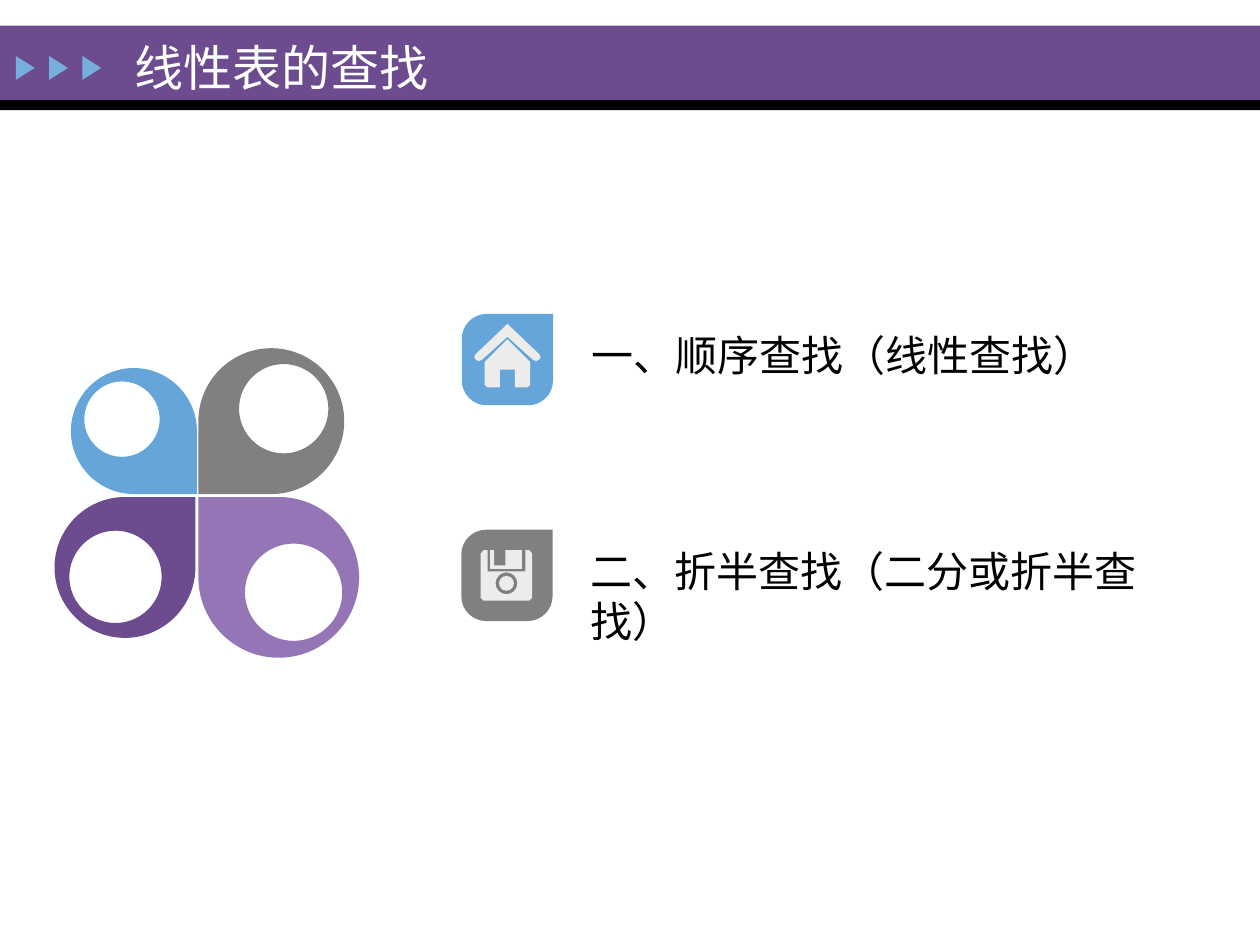
from dataclasses import dataclass
from itertools import islice
from math import cos, radians, sin

from pptx import Presentation
from pptx.dml.color import RGBColor
from pptx.enum.shapes import MSO_SHAPE
from pptx.enum.text import MSO_ANCHOR, MSO_AUTO_SIZE
from pptx.oxml.ns import qn
from pptx.util import Cm, Pt


@dataclass(frozen=True)
class Theme:
    font: str = "Times New Roman"
    title: int = 28
    body: int = 24
    paper: str = "FEFFFF"
    ink: str = "000000"
    purple: str = "6C4C8F"
    lilac: str = "9476B6"
    blue: str = "65A5D9"
    arrow: str = "76AEDD"
    gray: str = "808080"
    icon: str = "ECECEB"


THEME = Theme()


def paint(shape, color):
    shape.shadow.inherit = False
    shape.fill.solid()
    shape.fill.fore_color.rgb = RGBColor.from_string(color)
    shape.line.fill.background()


def block(shapes, kind, left, top, width, height, color):
    shape = shapes.add_shape(kind, Cm(left), Cm(top), Cm(width), Cm(height))
    paint(shape, color)
    return shape


def outline(shapes, left, top, loops, color, flip=(1, 1)):
    """Fill closed loops of steps: one point is a line, three are a curve."""
    pen = None
    for loop in loops:
        first, *rest = [(Cm(left + flip[0] * x), Cm(top + flip[1] * y))
                        for step in loop for x, y in step]
        if pen is None:
            pen = shapes.build_freeform(*first, scale=1.0)
        else:
            pen.move_to(*first)
        pen.add_line_segments(rest, close=True)
    shape = pen.convert_to_shape()
    lines = iter(list(shape.element.iter(qn("a:lnTo"))))
    for loop in loops:
        for step in loop[1:]:
            head, *tail = islice(lines, len(step))
            if tail:
                head.tag = qn("a:cubicBezTo")
            for node in tail:
                head.append(node[0])
                node.getparent().remove(node)
    paint(shape, color)


def arc(x, y, radius, start, count):
    """Quarter turns as curve steps."""
    steps = []
    for i in range(count):
        a, b = radians(start + 90 * i), radians(start + 90 * i + 90)
        parts = ((1, 0.55), (0.55, 1), (0, 1))
        steps.append([(x + radius * (p * cos(a) + q * cos(b)),
                       y + radius * (p * sin(a) + q * sin(b))) for p, q in parts])
    return steps


def ring(x, y, radius):
    return [[(x + radius, y)]] + arc(x, y, radius, 0, 4)


def mirror(half, axis):
    """Complete a loop of straight steps from its left half."""
    points = half + [(2 * axis - x, y) for x, y in reversed(half)]
    return [[point] for point in points]


def label(slide, left, top, width, height, text, size, color, anchor=MSO_ANCHOR.TOP):
    box = slide.shapes.add_textbox(Cm(left), Cm(top), Cm(width), Cm(height))
    frame = box.text_frame
    frame.word_wrap = True
    frame.vertical_anchor = anchor
    if anchor == MSO_ANCHOR.TOP:
        frame.auto_size = MSO_AUTO_SIZE.SHAPE_TO_FIT_TEXT
    para = frame.paragraphs[0]
    para.text = text
    para.font.name = THEME.font
    para.font.size = Pt(size)
    para.font.color.rgb = RGBColor.from_string(color)


def header(slide, left, top, width, text):
    block(slide.shapes, MSO_SHAPE.RECTANGLE, left, top, width, 1.5, THEME.purple)
    block(slide.shapes, MSO_SHAPE.RECTANGLE, left, top + 1.5, width, 0.2, THEME.ink)
    group = slide.shapes.add_group_shape()
    for i in range(3):
        mark = block(group.shapes, MSO_SHAPE.ISOSCELES_TRIANGLE,
                     left + 0.27 + 0.67 * i, top + 0.66, 0.48, 0.38, THEME.arrow)
        mark.rotation = 90
    label(slide, left + 2.47, top - 0.12, 17.1, 1.9, text,
          THEME.title, THEME.paper, MSO_ANCHOR.MIDDLE)


def flower(slide, left, top):
    """Four petals whose sharp corners meet near the given hub."""
    petals = [  # side x, side y, gap, size, hole offset, hole radius, color
        (-1, -1, 0.01, 2.54, 1.51, 0.76, THEME.blue),
        (-1, 1, 0.04, 2.84, 1.61, 0.93, THEME.purple),
        (1, -1, 0.02, 2.94, 1.72, 0.9, THEME.gray),
        (1, 1, 0.02, 3.24, 1.92, 0.98, THEME.lilac),
    ]
    group = slide.shapes.add_group_shape()
    for across, down, gap, size, shift, radius, color in petals:
        mid = size / 2
        leaf = [[(0, 0)], [(mid, 0)]] + arc(mid, mid, mid, -90, 3)
        outline(group.shapes, left + across * gap, top + down * 0.03,
                [leaf, ring(shift, shift, radius)], color, (across, down))


def tile(shapes, left, top, color, side=1.84, bend=0.5):
    """Square with three round corners and a sharp one at top right."""
    far = side - bend
    loop = [[(side, 0)], [(side, far)], *arc(far, far, bend, 0, 1),
            [(bend, side)], *arc(bend, far, bend, 90, 1),
            [(0, bend)], *arc(bend, bend, bend, 180, 1)]
    outline(shapes, left, top, [loop], color)


def home(shapes, left, top):
    tile(shapes, left, top, THEME.blue)
    roof = [(0.92, 0.2), (0.28, 0.81), (0.25, 0.87), (0.28, 0.92),
            (0.34, 0.95), (0.41, 0.92), (0.92, 0.46)]
    walls = [(0.92, 0.51), (0.46, 0.97), (0.46, 1.43), (0.52, 1.48),
             (0.77, 1.48), (0.77, 1.12)]
    for half in (roof, walls):
        outline(shapes, left, top, [mirror(half, 0.92)], THEME.icon)


def disk(shapes, left, top):
    tile(shapes, left, top, THEME.gray)
    plate = [(1.22, 0.41), (0.89, 0.41), (0.89, 0.72), (0.66, 0.72),
             (0.66, 0.41), (0.58, 0.41), (0.58, 0.79), (1.22, 0.79)]
    outline(shapes, left, top, [[[point] for point in plate]], THEME.icon)
    case = [(0.53, 0.84), (0.53, 0.41), (0.45, 0.41), (0.39, 0.48),
            (0.39, 1.37), (0.45, 1.43)]
    outline(shapes, left, top, [mirror(case, 0.91), ring(0.91, 1.08, 0.22)],
            THEME.icon)
    block(shapes, MSO_SHAPE.OVAL, left + 0.76, top + 0.93, 0.3, 0.3, THEME.icon)


def topic(slide, left, top, icon, text, width):
    icon(slide.shapes.add_group_shape().shapes, left, top)
    label(slide, left + 2.36, top + 0.19, width, 1.3, text, THEME.body, THEME.ink)


def main():
    deck = Presentation()
    deck.slide_width, deck.slide_height = Cm(25.4), Cm(19.05)
    slide = deck.slides.add_slide(deck.slide_layouts[6])
    slide.background.fill.solid()
    slide.background.fill.fore_color.rgb = RGBColor.from_string(THEME.paper)

    header(slide, 0, 0.52, 25.4, "线性表的查找")
    flower(slide, 3.98, 9.99)
    topic(slide, 9.31, 6.33, home, "一、顺序查找（线性查找）", 11.43)
    topic(slide, 9.3, 10.68, disk, "二、折半查找（二分或折半查找）", 12.65)
    deck.save("out.pptx")


if __name__ == "__main__":
    main()
